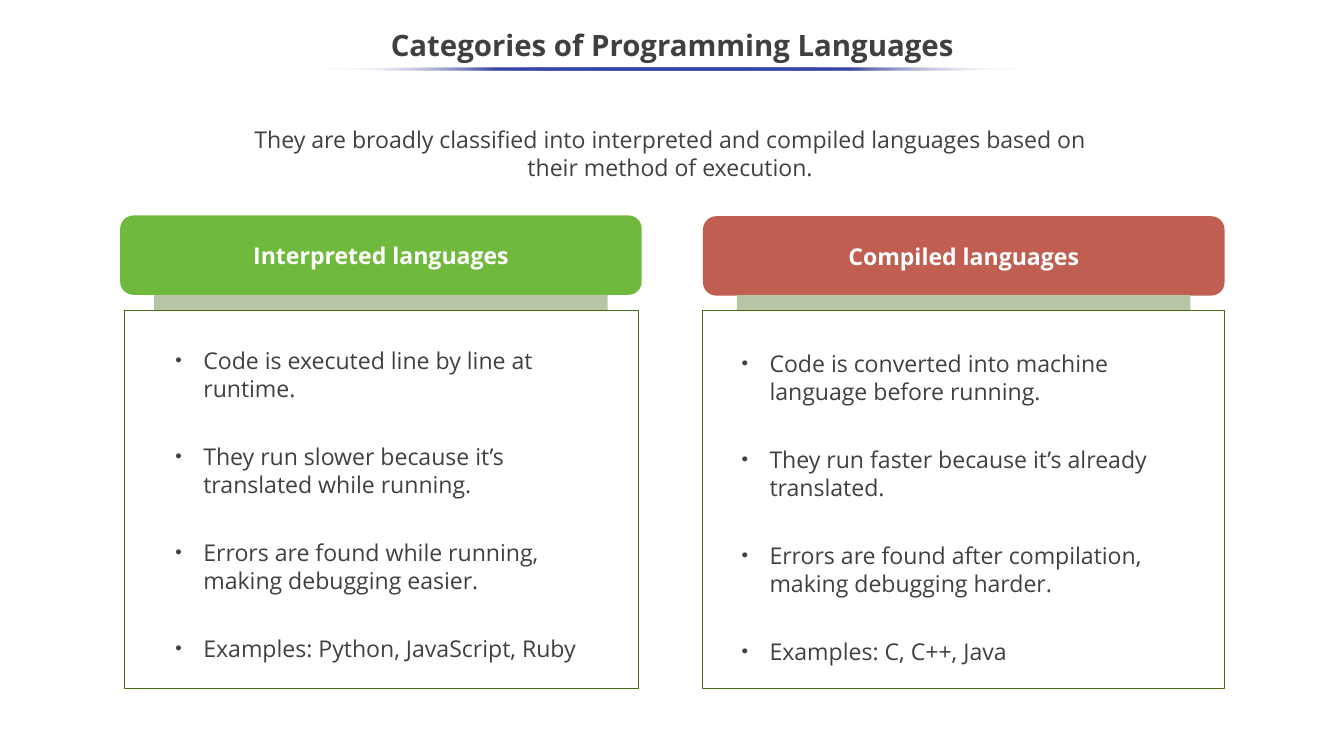
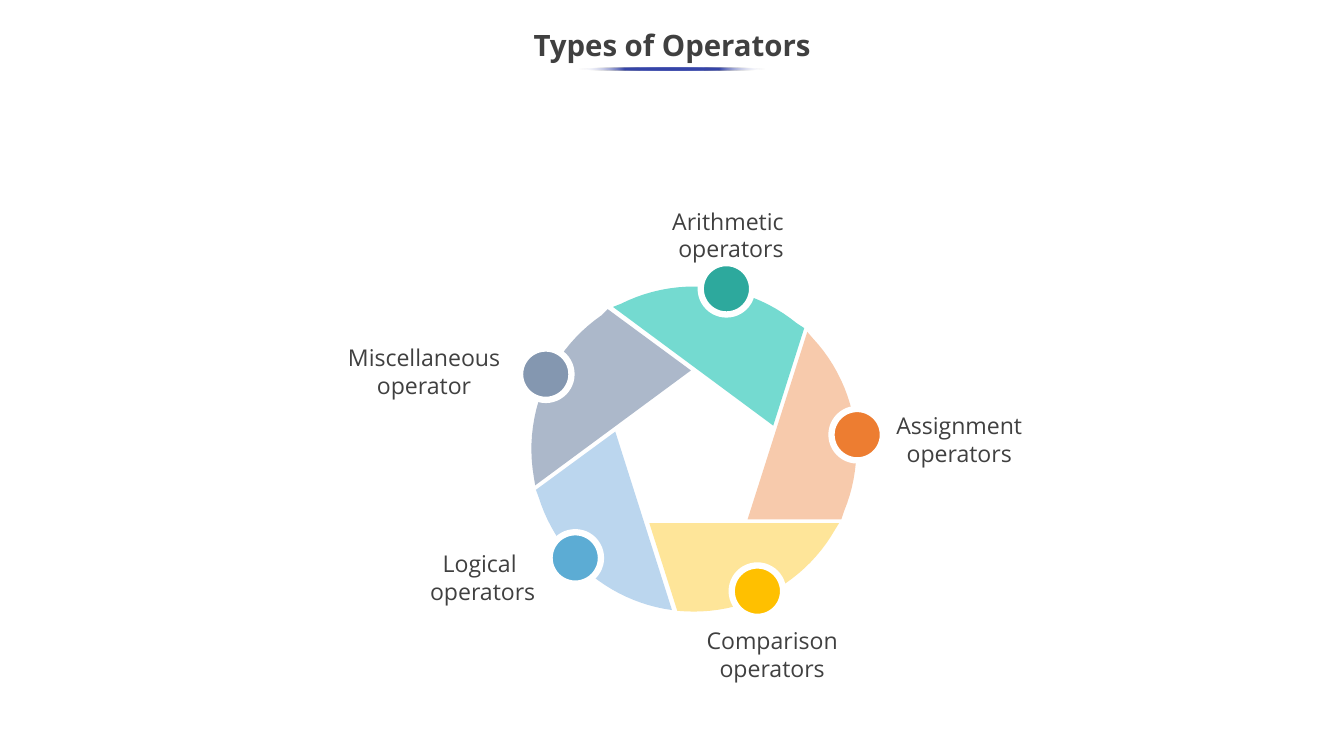
"""Build two slides: language categories and types of operators."""
from math import atan2, cos, sin, tau

from pptx import Presentation
from pptx.dml.color import RGBColor
from pptx.enum.shapes import MSO_SHAPE
from pptx.enum.text import MSO_ANCHOR, MSO_AUTO_SIZE, PP_ALIGN
from pptx.oxml import parse_xml
from pptx.oxml.ns import nsdecls, qn
from pptx.util import Pt

RECT, PILL, OVAL = MSO_SHAPE.RECTANGLE, MSO_SHAPE.ROUNDED_RECTANGLE, MSO_SHAPE.OVAL
MID, TOP = MSO_ANCHOR.MIDDLE, MSO_ANCHOR.TOP
CENTER, LEFT = PP_ALIGN.CENTER, PP_ALIGN.LEFT
FIXED = MSO_AUTO_SIZE.NONE
PX = 9144
FONT = "Open Sans"
PITCH = Pt(26.5)
INK = {
    "text": "404040", "white": "FFFFFF", "rule": "3645A9", "edge": "486C12",
    "strip": "B8C5A4", "green": "6FB93D", "red": "C05E51",
}


def draw(slide, kind, box, fill, line=None, width=1):
    """Add a flat preset shape at a box given in px."""
    shape = slide.shapes.add_shape(kind, *[n * PX for n in box])
    shape.shadow.inherit = False
    shape.fill.solid()
    shape.fill.fore_color.rgb = RGBColor.from_string(fill)
    if line:
        shape.line.color.rgb = RGBColor.from_string(line)
        shape.line.width = Pt(width)
    else:
        shape.line.fill.background()
    return shape


def say(shape, lines, size=22, bold=False, ink="text", align=CENTER, anchor=MID,
        pitch=PITCH, gap=0, dots=False):
    """Write one paragraph per line into a shape."""
    frame = shape.text_frame
    frame.word_wrap = True
    frame.auto_size = FIXED
    frame.vertical_anchor = anchor
    for i, text in enumerate(lines):
        para = frame.add_paragraph() if i else frame.paragraphs[0]
        if dots:
            props = para._p.get_or_add_pPr()
            props.set("marL", str(37 * PX))
            props.set("indent", str(-37 * PX))
            for tag in ('buSzPct val="80000"', 'buFont typeface="Arial"', 'buChar char="•"'):
                props.append(parse_xml(f"<a:{tag} {nsdecls('a')}/>"))
        para.alignment = align
        para.line_spacing = pitch
        para.space_before = Pt(gap if i else 0)
        para.space_after = Pt(0)
        run = para.add_run()
        run.text = text
        run.font.name = FONT
        run.font.size = Pt(size)
        run.font.bold = bold
        run.font.color.rgb = RGBColor.from_string(INK[ink])


deck = Presentation()
deck.slide_width = 1778 * PX
deck.slide_height = 1000 * PX

pages = []
for name, layout, left, wide in [
    ("Categories of Programming Languages", 3, 424, 932),
    ("Types of Operators", 5, 765, 247),
]:
    page = deck.slides.add_slide(deck.slide_layouts[layout])
    pages.append(page)
    title = page.shapes.title
    title.left, title.top, title.width, title.height = -PX, 25 * PX, 1780 * PX, 75 * PX
    say(title, [name], size=28, bold=True, pitch=0.9)
    rule = draw(page, OVAL, (left, 89, wide, 4), INK["rule"])
    rule.fill.gradient()
    rule.fill.gradient_angle = 0
    stops = rule._element.spPr.find(qn("a:gradFill")).find(qn("a:gsLst"))
    for stop in list(stops):
        stops.remove(stop)
    for at in (0, 25, 50, 75, 100):
        edge = at in (0, 100)
        tint = INK["white" if edge else "rule"]
        alpha = '<a:alpha val="0"/>' if edge else ""
        stops.append(parse_xml(
            f'<a:gs {nsdecls("a")} pos="{at * 1000}">'
            f'<a:srgbClr val="{tint}">{alpha}</a:srgbClr></a:gs>'))

kinds, types = pages

intro = kinds.shapes.add_textbox(311 * PX, 161 * PX, 1151 * PX, 84 * PX)
say(intro, ["They are broadly classified into interpreted and compiled languages "
            "based on their method of execution."], anchor=TOP)

panels = [
    ("Interpreted languages", "green", (159, 285), (164, 410, 681, 501), 0.75,
     (222, 458, 567, 430), [
         "Code is executed line by line at runtime.",
         "They run slower because it’s translated while running.",
         "Errors are found while running, making debugging easier.",
         "Examples: Python, JavaScript, Ruby"]),
    ("Compiled languages", "red", (930, 286), (930, 411, 690, 500), 1,
     (971, 462, 563, 430), [
         "Code is converted into machine language before running.",
         "They run faster because it’s already translated.",
         "Errors are found after compilation, making debugging harder.",
         "Examples: C, C++, Java"]),
]
for i, (name, ink, (x, y), card, width, spot, facts) in enumerate(panels, 1):
    draw(kinds, RECT, card, INK["white"], INK["edge"], width)
    head = draw(kinds, PILL, (x, y, 690, 105), INK[ink])
    say(head, [name], bold=True, ink="white")
    draw(kinds, RECT, (x + 45, 390, 600, 20), INK["strip"])
    body = kinds.placeholders[i]
    body.left, body.top, body.width, body.height = [n * PX for n in spot]
    body.text_frame.margin_top = body.text_frame.margin_bottom = 0
    say(body, facts, align=LEFT, anchor=TOP, gap=38.5, dots=True)
    tree = kinds.shapes._spTree
    tree.remove(body._element)
    tree.append(body._element)

MIDX, MIDY, RAD, STEPS = 918, 594, 215, 24
blades = [
    ("74DAD0", (1023, 563), (811, 406), (1064, 434), "2DA99D", (961, 382),
     (799, 267, 336, 87), ["Arithmetic ", "operators"]),
    ("F7CAAC", (989, 687), (1068, 439), (1113, 687), "ED7D31", (1134, 575),
     (1124, 537, 290, 87), ["Assignment operators"]),
    ("FEE599", (859, 692), (1110, 692), (896, 808), "FFC000", (1002, 782),
     (876, 822, 291, 87), ["Comparison operators"]),
    ("BBD6EE", (814, 571), (889, 807), (709, 648), "5CACD4", (761, 738),
     (501, 720, 275, 87), ["Logical ", "operators"]),
    ("ACB8CA", (914, 490), (708, 642), (804, 409), "8497B0", (722, 495),
     (410, 448, 302, 87), ["Miscellaneous operator"]),
]
for pale, inner, tip, foot, *rest in blades:
    start, end = [atan2(y - MIDY, x - MIDX) for x, y in (tip, foot)]
    turn = (end - start) % tau
    arc = [(MIDX + RAD * cos(start + turn * k / STEPS),
            MIDY + RAD * sin(start + turn * k / STEPS)) for k in range(1, STEPS)]
    pen = types.shapes.build_freeform(inner[0] * PX, inner[1] * PX)
    pen.add_line_segments([(x * PX, y * PX) for x, y in [tip, *arc, foot]])
    blade = pen.convert_to_shape()
    blade.shadow.inherit = False
    blade.fill.solid()
    blade.fill.fore_color.rgb = RGBColor.from_string(pale)
    blade.line.fill.background()

for *_, deep, (x, y), spot, words in blades:
    draw(types, OVAL, (x - 34, y - 34, 68, 68), deep, INK["white"], 6)
    label = types.shapes.add_textbox(*[n * PX for n in spot])
    say(label, words)

deck.save("out.pptx")
